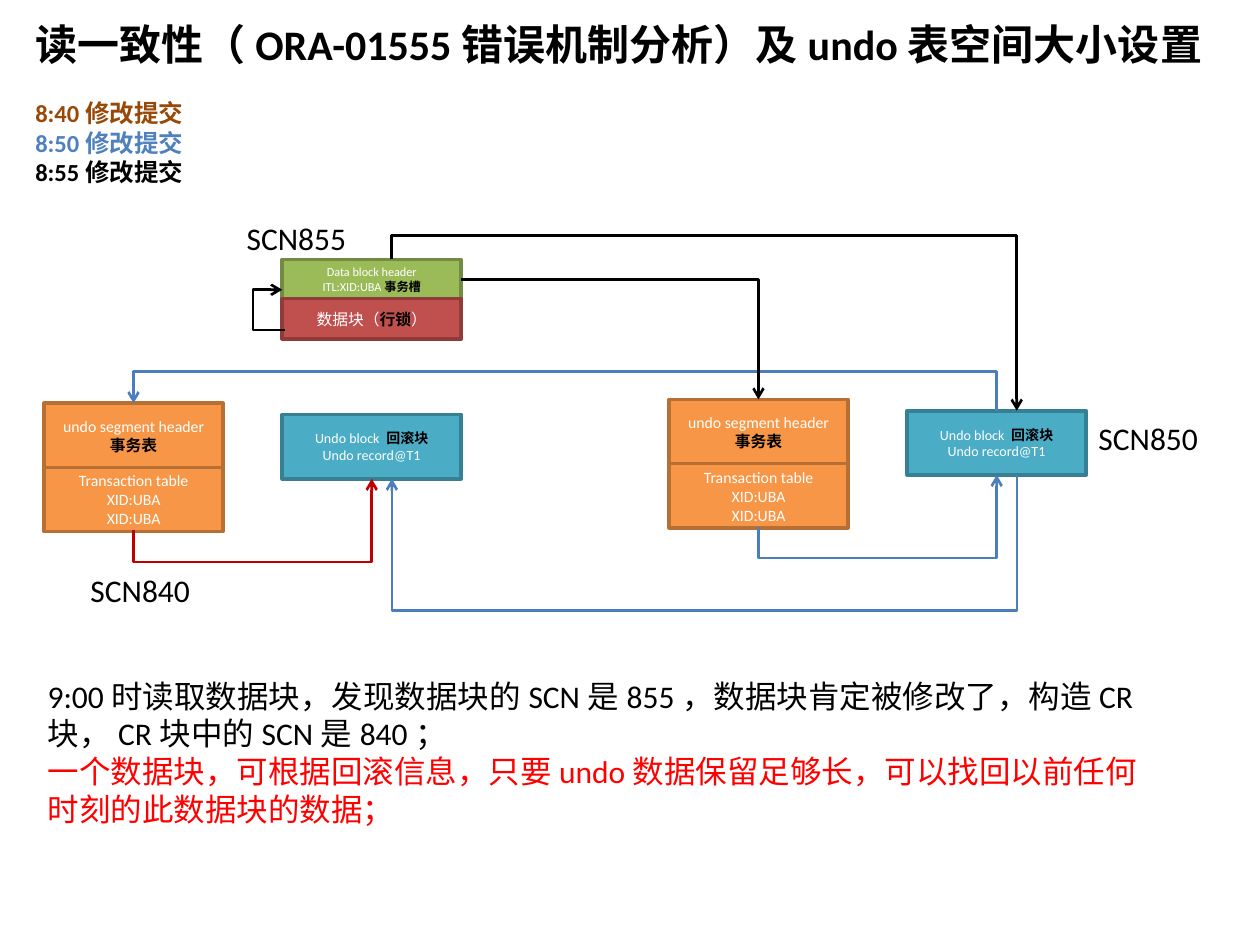
from dataclasses import dataclass

import pptx
import pptx.dml.color
import pptx.enum.shapes
import pptx.enum.text
import pptx.oxml.ns
import pptx.util
from lxml import etree

Inches = pptx.util.Inches
Pt = pptx.util.Pt
RGB = pptx.dml.color.RGBColor
Align = pptx.enum.text.PP_ALIGN
Anchor = pptx.enum.text.MSO_ANCHOR
qn = pptx.oxml.ns.qn

BLACK = RGB(0x00, 0x00, 0x00)
WHITE = RGB(0xFF, 0xFF, 0xFF)
RED = RGB(0xFF, 0x00, 0x00)
DARK_RED = RGB(0xC0, 0x00, 0x00)
BROWN = RGB(0x98, 0x48, 0x07)
BLUE = RGB(0x4F, 0x81, 0xBD)
ARROW_BLUE = RGB(0x4B, 0x7E, 0xBC)
GREEN = (RGB(0x9B, 0xBB, 0x59), RGB(0x73, 0x8A, 0x42))
BRICK = (RGB(0xC0, 0x50, 0x4D), RGB(0x8E, 0x3B, 0x39))
TEAL = (RGB(0x4B, 0xAC, 0xC6), RGB(0x37, 0x7F, 0x92))
ORANGE = (RGB(0xF7, 0x96, 0x46), RGB(0xB7, 0x6F, 0x34))
FONT = "Calibri"
BOX_W = 1.42
BLOCK_H = 0.51


@dataclass
class Run:
    text: str
    color: RGB = WHITE
    bold: bool = False


@dataclass
class Box:
    x: float
    y: float
    h: float
    colors: tuple[RGB, RGB]
    size: float
    lines: list[list[Run]]


@dataclass
class Arrow:
    start: tuple[float, float]
    end: tuple[float, float]
    color: RGB
    bar: float | None = None
    vertical: bool = True


def key(text: str) -> Run:
    return Run(text, BLACK, True)


def write(tf, lines: list[list[Run]], size: float, align=Align.LEFT) -> None:
    tf.word_wrap = True
    for i, line in enumerate(lines):
        p = tf.paragraphs[0] if i == 0 else tf.add_paragraph()
        p.alignment = align
        p.space_before = Pt(0)
        for run in line:
            r = p.add_run()
            r.text = run.text
            r.font.name = FONT
            r.font.size = Pt(size)
            r.font.bold = run.bold
            r.font.color.rgb = run.color


def fill_placeholder(sp, at: tuple, lines: list[list[Run]], size: float) -> None:
    sp.left, sp.top, sp.width, sp.height = map(Inches, at)
    tf = sp.text_frame
    tf.auto_size = pptx.enum.text.MSO_AUTO_SIZE.NONE
    tf.vertical_anchor = Anchor.TOP
    write(tf, lines, size)


def add_text(s, at: tuple, lines: list[list[Run]], size: float) -> None:
    sp = s.shapes.add_textbox(*map(Inches, at))
    write(sp.text_frame, lines, size)


def add_box(s, box: Box) -> None:
    sp = s.shapes.add_shape(pptx.enum.shapes.MSO_SHAPE.RECTANGLE,
                            *map(Inches, (box.x, box.y, BOX_W, box.h)))
    sp.shadow.inherit = False
    sp.fill.solid()
    sp.fill.fore_color.rgb, sp.line.color.rgb = box.colors
    sp.line.width = Pt(2)
    sp.text_frame.vertical_anchor = Anchor.MIDDLE
    write(sp.text_frame, box.lines, box.size, Align.CENTER)


def add_arrow(s, arrow: Arrow) -> None:
    (x1, y1), (x2, y2) = arrow.start, arrow.end
    ends = (x1, y1, x2, y2)
    if arrow.vertical:
        cx, cy = (x1 + x2) / 2, (y1 + y2) / 2
        dx, dy = (x2 - x1) / 2, (y2 - y1) / 2
        ends = (cx - dy, cy + dx, cx + dy, cy - dx)
    cxn = s.shapes.add_connector(pptx.enum.shapes.MSO_CONNECTOR.ELBOW, *map(Inches, ends))
    cxn.line.color.rgb = arrow.color
    cxn.line.width = Pt(1.5)
    spPr = cxn._element.spPr
    if arrow.vertical:
        spPr.find(qn("a:xfrm")).set("rot", "5400000")
    geom = spPr.find(qn("a:prstGeom"))
    if arrow.bar is None:
        geom.set("prst", "bentConnector2")
    else:
        a, b = (y1, y2) if arrow.vertical else (x1, x2)
        adj = round((arrow.bar - a) / (b - a) * 100000)
        etree.SubElement(geom.find(qn("a:avLst")), qn("a:gd"), name="adj1", fmla=f"val {adj}")
    etree.SubElement(spPr.find(qn("a:ln")), qn("a:tailEnd"), type="arrow")
    etree.SubElement(spPr, qn("a:effectLst"))


def undo_boxes(x: float, y: float) -> list[Box]:
    return [
        Box(x + 1.89, y + 0.09, BLOCK_H, TEAL, 8,
            [[Run("Undo block "), key("回滚块")], [Run("Undo record@T1")]]),
        Box(x, y, BLOCK_H, ORANGE, 9, [[Run("undo segment header")], [key("事务表")]]),
        Box(x, y + BLOCK_H, BLOCK_H, ORANGE, 9,
            [[Run("Transaction table")], [Run("XID:UBA")], [Run("XID:UBA")]]),
    ]


BOXES = [
    Box(2.24, 2.06, 0.31, GREEN, 7,
        [[Run("Data block header")], [Run("ITL:XID:UBA"), key("事务槽")]]),
    Box(2.24, 2.37, 0.32, BRICK, 9, [[Run("数据块（"), key("行锁"), Run("）")]]),
    *undo_boxes(0.35, 3.2),
    *undo_boxes(5.31, 3.17),
]

ARROWS = [
    Arrow((1.06, 4.21), (2.95, 3.8), DARK_RED, 4.46),
    Arrow((2.26, 2.62), (2.24, 2.3), BLACK, 2.01, vertical=False),
    Arrow((6.02, 4.18), (7.91, 3.77), ARROW_BLUE, 4.43),
    Arrow((7.91, 3.26), (1.06, 3.2), ARROW_BLUE, 2.95),
    Arrow((8.07, 3.77), (3.11, 3.8), ARROW_BLUE, 4.85),
    Arrow((3.66, 2.22), (6.02, 3.17), BLACK, vertical=False),
    Arrow((3.11, 2.06), (8.07, 3.26), BLACK, 1.87),
]

LABELS = [("SCN840", 0.62, 4.48), ("SCN850", 8.62, 3.28), ("SCN855", 1.86, 1.69)]
COMMITS = [("8:40", BROWN), ("8:50", BLUE), ("8:55", BLACK)]


def main() -> None:
    prs = pptx.Presentation()
    prs.slide_width, prs.slide_height = Inches(10), Inches(7.5)
    s = prs.slides.add_slide(prs.slide_layouts[1])

    fill_placeholder(s.shapes.title, (0.18, 0.1, 9.7, 0.5),
                     [[key("读一致性（ORA-01555错误机制分析）及undo表空间大小设置")]], 24)
    body = s.placeholders[1]
    fill_placeholder(body, (0.18, 0.73, 2.13, 0.81),
                     [[Run(f"{time}修改提交", color, True)] for time, color in COMMITS], 14)
    for p in body.text_frame.paragraphs:
        pPr = p._p.get_or_add_pPr()
        pPr.set("marL", "0")
        pPr.set("indent", "0")
        etree.SubElement(pPr, qn("a:buNone"))

    for box in BOXES:
        add_box(s, box)
    for arrow in ARROWS:
        add_arrow(s, arrow)
    for text, x, y in LABELS:
        add_text(s, (x, y, 1.1, 0.4), [[Run(text, BLACK)]], 18)
    add_text(s, (0.28, 5.32, 8.9, 1.31), [
        [Run("9:00时读取数据块，发现数据块的SCN是855，数据块肯定被修改了，构造CR块，CR块中的SCN是840；", BLACK)],
        [Run("一个数据块，可根据回滚信息，只要undo数据保留足够长，可以找回以前任何时刻的此数据块的数据；", RED)],
    ], 18)
    prs.save("out.pptx")


if __name__ == "__main__":
    main()
